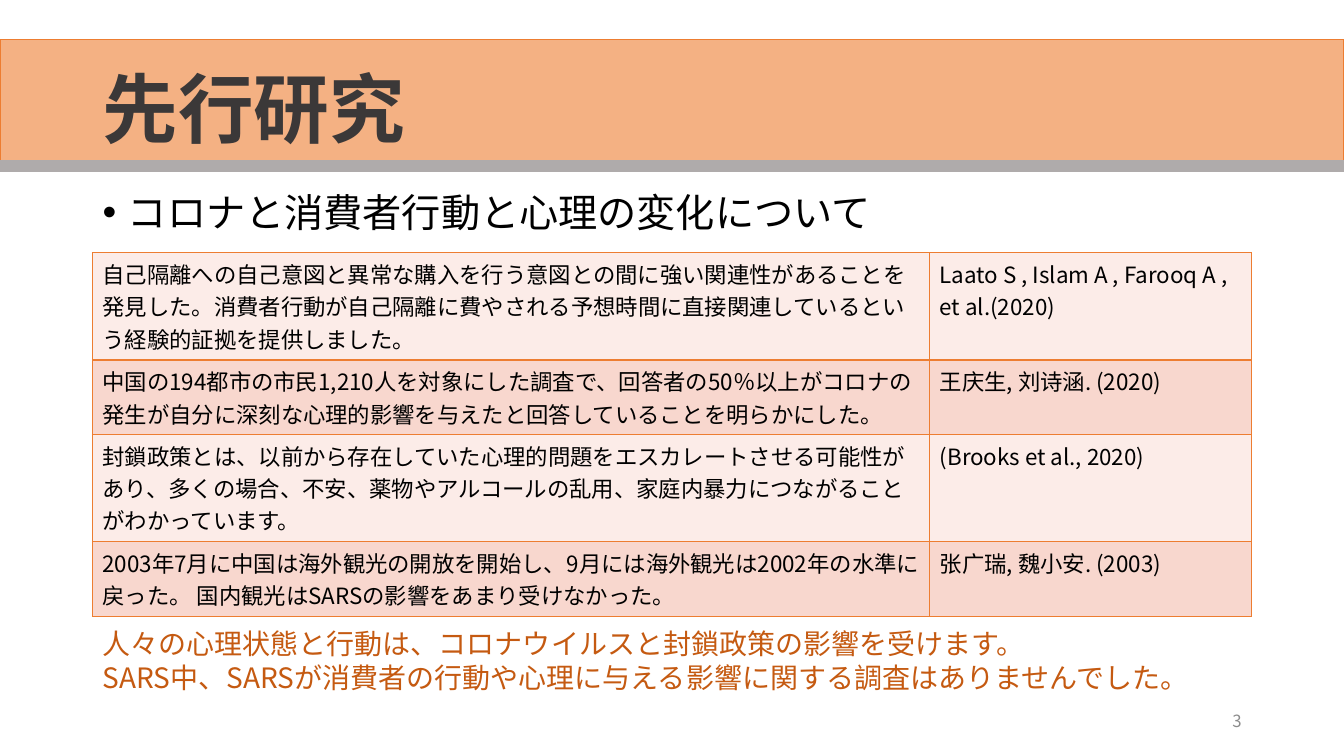
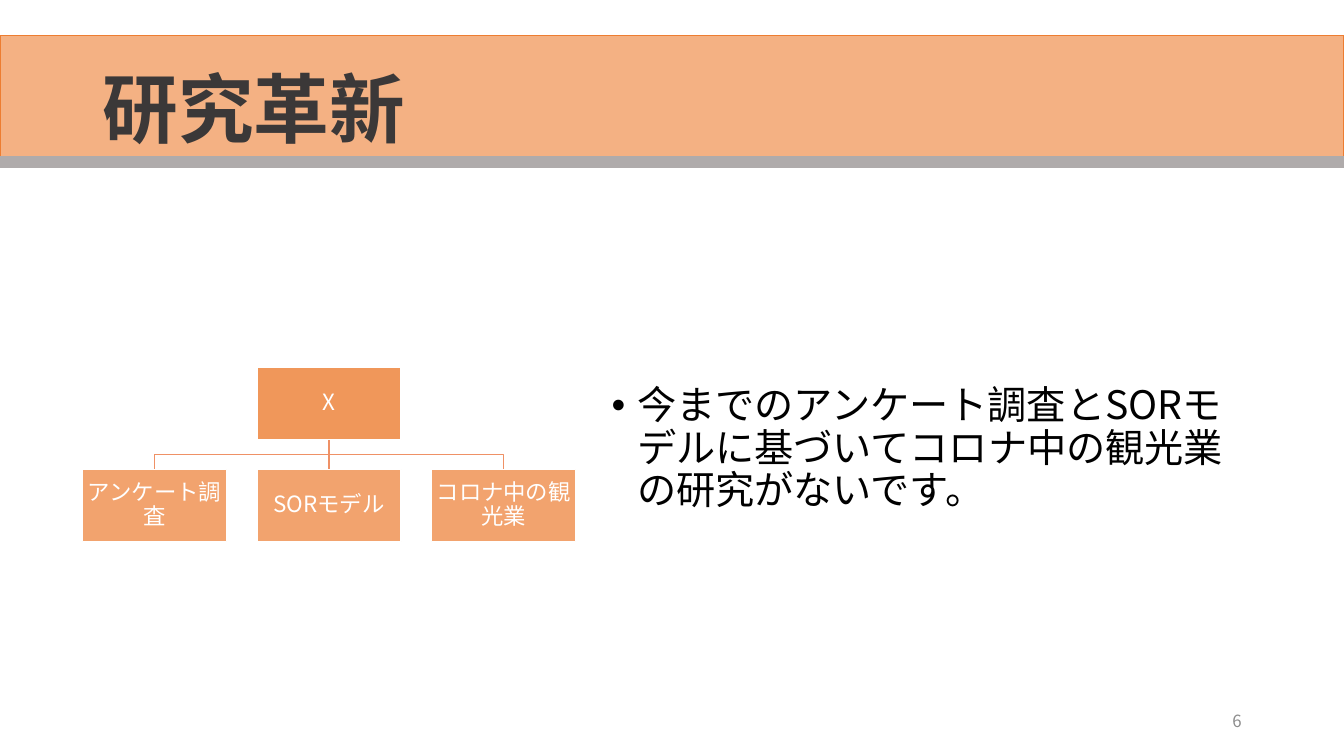
import pptx
import pptx.util
import pptx.dml.color
import pptx.enum.shapes
import pptx.enum.text
import pptx.oxml
import pptx.oxml.ns
from lxml import etree
from dataclasses import dataclass

Cm, Pt = pptx.util.Cm, pptx.util.Pt
ALIGN = pptx.enum.text.PP_ALIGN
ANCHOR = pptx.enum.text.MSO_ANCHOR
qn = pptx.oxml.ns.qn


@dataclass(frozen=True)
class Theme:
    font: str = "Noto Sans CJK JP"
    band: str = "F4B183"
    accent: str = "ED7D31"
    strip: str = "AFABAB"
    title: str = "3B3838"
    text: str = "000000"
    summary: str = "C55A11"
    number: str = "8C8C8C"
    white: str = "FFFFFF"
    branch: str = "EF9166"
    rows: tuple = ("FCECE8", "F8D7CE")
    title_size: int = 54
    body_size: int = 28
    summary_size: int = 20
    small_size: int = 16
    number_size: int = 12
    tight: float = 0.9


T = Theme()
PAGE_W, PAGE_H = 33.87, 19.05
LEFT, WIDTH = 2.33, 29.21

# Content: positions and sizes in centimetres
STUDIES = {
    "title": "先行研究",
    "number": "3",
    "band_top": 1.0,
    "bullet": "コロナと消費者行動と心理の変化について",
    "bullet_box": (LEFT, 4.75, 30.5, 1.2),
}
STUDY_COLUMNS = (21.1, 8.11)
STUDY_ROWS = [  # finding, source, row height
    ("自己隔離への自己意図と異常な購入を行う意図との間に強い関連性があることを発見した。"
     "消費者行動が自己隔離に費やされる予想時間に直接関連しているという経験的証拠を提供しました。",
     "Laato S , Islam A , Farooq A , et al.(2020)", 2.7),
    ("中国の194都市の市民1,210人を対象にした調査で、回答者の50％以上がコロナの発生が"
     "自分に深刻な心理的影響を与えたと回答していることを明らかにした。",
     "王庆生, 刘诗涵. (2020)", 1.88),
    ("封鎖政策とは、以前から存在していた心理的問題をエスカレートさせる可能性があり、"
     "多くの場合、不安、薬物やアルコールの乱用、家庭内暴力につながることがわかっています。",
     "(Brooks et al., 2020)", 2.7),
    ("2003年7月に中国は海外観光の開放を開始し、9月には海外観光は2002年の水準に戻った。 "
     "国内観光はSARSの影響をあまり受けなかった。",
     "张广瑞, 魏小安. (2003)", 1.88),
]
SUMMARY = [
    "人々の心理状態と行動は、コロナウイルスと封鎖政策の影響を受けます。",
    "SARS中、SARSが消費者の行動や心理に与える影響に関する調査はありませんでした。",
]
INNOVATION = {
    "title": "研究革新",
    "number": "6",
    "band_top": 0.89,
    "bullet": "今までのアンケート調査とSORモデルに基づいてコロナ中の観光業の研究がないです。",
    "bullet_box": (15.16, 9.6, 16.61, 3.68),
}
TREE_ROOT = "X"
TREE_LEAVES = ["アンケート調査", "SORモデル", "コロナ中の観光業"]


def rgb(value):
    return pptx.dml.color.RGBColor.from_string(value)


def style(p, size, color, bold=False, align=ALIGN.LEFT, spacing=None):
    p.alignment = align
    p.space_before = Pt(0)
    if spacing:
        p.line_spacing = spacing
    for r in p.runs:
        r.font.size, r.font.bold = Pt(size), bold
        r.font.color.rgb = rgb(color)
        r.font.name = T.font
        ea = etree.SubElement(r.font._element, qn("a:ea"))
        ea.set("typeface", T.font)


def place(sp, x, y, w, h):
    sp.left, sp.top, sp.width, sp.height = Cm(x), Cm(y), Cm(w), Cm(h)


def add_rect(slide, x, y, w, h, fill, line, alpha=None):
    sp = slide.shapes.add_shape(pptx.enum.shapes.MSO_SHAPE.RECTANGLE,
                                Cm(x), Cm(y), Cm(w), Cm(h))
    sp.shadow.inherit = False
    sp.fill.solid()
    sp.fill.fore_color.rgb = rgb(fill)
    sp.line.color.rgb = rgb(line)
    sp.line.width = Pt(1)
    if alpha:
        color = sp._element.spPr.find(qn("a:solidFill"))[0]
        etree.SubElement(color, qn("a:alpha")).set("val", str(alpha * 1000))
    return sp


def add_text(slide, box, lines, size, color, **look):
    tf = slide.shapes.add_textbox(*map(Cm, box)).text_frame
    tf.word_wrap = True
    tf.text = "\n".join(lines)
    for p in tf.paragraphs:
        style(p, size, color, **look)
    return tf


def add_branch(slide, x1, y1, x2, y2):
    """Straight line, or a bent outline when the ends are not aligned."""
    if x1 == x2:
        sp = slide.shapes.add_connector(pptx.enum.shapes.MSO_CONNECTOR.STRAIGHT,
                                        Cm(x1), Cm(y1), Cm(x2), Cm(y2))
        etree.SubElement(sp._element.spPr, qn("a:effectLst"))
    else:
        mid = (y1 + y2) / 2
        outline = slide.shapes.build_freeform(Cm(x1), Cm(y1))
        points = [(x1, mid), (x2, mid), (x2, y2)]
        outline.add_line_segments([(Cm(x), Cm(y)) for x, y in points], close=False)
        sp = outline.convert_to_shape()
        sp.shadow.inherit = False
        sp.fill.background()
    sp.line.color.rgb = rgb(T.branch)
    sp.line.width = Pt(1)


def add_slide(prs, content):
    """Band, title, bullet and slide number, common to every slide."""
    slide = prs.slides.add_slide(prs.slide_layouts[1])
    title, body = slide.placeholders

    # Band behind the placeholders
    top, height = content["band_top"], 3.05
    bands = (add_rect(slide, 0, top, PAGE_W, height, T.band, T.accent),
             add_rect(slide, 0, top + height, PAGE_W, 0.28, T.strip, T.strip))
    for i, sp in enumerate(bands):
        slide.shapes._spTree.insert(2 + i, sp._element)

    # Title
    place(title, LEFT, 1.01, WIDTH, 3.68)
    tf = title.text_frame
    tf.text = content["title"]
    tf.vertical_anchor = ANCHOR.MIDDLE
    style(tf.paragraphs[0], T.title_size, T.title, bold=True, spacing=T.tight)

    # Bullet
    place(body, *content["bullet_box"])
    tf = body.text_frame
    tf.text = content["bullet"]
    p = tf.paragraphs[0]
    style(p, T.body_size, T.text, spacing=T.tight)
    pPr = p._p.get_or_add_pPr()
    pPr.set("marL", str(Cm(0.64)))
    pPr.set("indent", str(Cm(-0.64)))
    etree.SubElement(pPr, qn("a:buChar")).set("char", "•")

    for frame in (title.text_frame, body.text_frame):
        frame.auto_size = pptx.enum.text.MSO_AUTO_SIZE.NONE

    # Slide number
    tf = add_text(slide, (23.92, 17.66, 7.62, 1.01), [content["number"]],
                  T.number_size, T.number, align=ALIGN.RIGHT)
    tf.vertical_anchor = ANCHOR.MIDDLE
    return slide


def set_borders(cell):
    tcPr = cell._tc.get_or_add_tcPr()
    for i, side in enumerate(("lnL", "lnR", "lnT", "lnB")):
        ln = etree.Element(qn("a:" + side))
        ln.set("w", str(Pt(1)))
        fill = etree.SubElement(ln, qn("a:solidFill"))
        etree.SubElement(fill, qn("a:srgbClr")).set("val", T.accent)
        tcPr.insert(i, ln)


def add_study_table(slide):
    height = sum(row[-1] for row in STUDY_ROWS)
    table = slide.shapes.add_table(len(STUDY_ROWS), len(STUDY_COLUMNS), Cm(LEFT),
                                   Cm(6.37), Cm(WIDTH), Cm(height)).table
    table.first_row = table.horz_banding = False
    for column, width in zip(table.columns, STUDY_COLUMNS):
        column.width = Cm(width)
    for i, (*texts, row_height) in enumerate(STUDY_ROWS):
        table.rows[i].height = Cm(row_height)
        for cell, text in zip(table.rows[i].cells, texts):
            cell.text = text
            style(cell.text_frame.paragraphs[0], T.small_size, T.text)
            cell.fill.solid()
            cell.fill.fore_color.rgb = rgb(T.rows[i % 2])
            set_borders(cell)


def add_tree(slide):
    box_w, box_h, step = 3.63, 1.82, 4.4
    left, root_y, leaf_y = 2.08, 9.25, 11.83
    xs = [left + i * step for i in range(len(TREE_LEAVES))]
    root_x = xs[len(xs) // 2]

    # Branches
    for x in reversed(xs):
        add_branch(slide, root_x + box_w / 2, root_y + box_h, x + box_w / 2, leaf_y)

    # Boxes
    boxes = [(TREE_ROOT, root_x, root_y, 80)]
    boxes += [(text, x, leaf_y, 70) for text, x in zip(TREE_LEAVES, xs)]
    for text, x, y, alpha in boxes:
        sp = add_rect(slide, x, y, box_w, box_h, T.accent, T.white, alpha)
        tf = sp.text_frame
        tf.word_wrap = True
        tf.vertical_anchor = ANCHOR.MIDDLE
        tf.margin_left = tf.margin_right = tf.margin_top = tf.margin_bottom = Cm(0.03)
        tf.text = text
        style(tf.paragraphs[0], T.small_size, T.white, align=ALIGN.CENTER,
              spacing=T.tight)


def main():
    prs = pptx.Presentation()
    prs.slide_width, prs.slide_height = Cm(PAGE_W), Cm(PAGE_H)

    studies = add_slide(prs, STUDIES)
    add_study_table(studies)
    add_text(studies, (LEFT, 15.67, WIDTH, 1.96), SUMMARY, T.summary_size, T.summary)

    add_tree(add_slide(prs, INNOVATION))
    prs.save("out.pptx")


if __name__ == "__main__":
    main()
